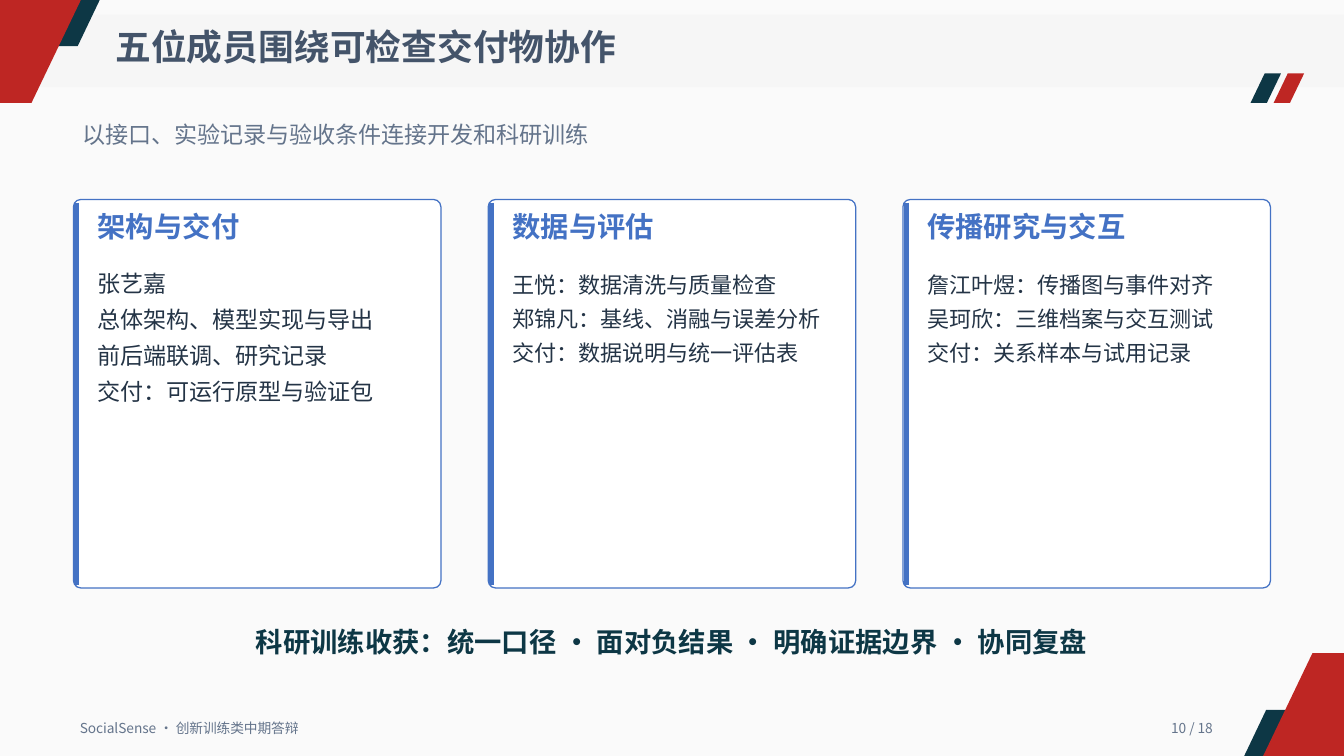
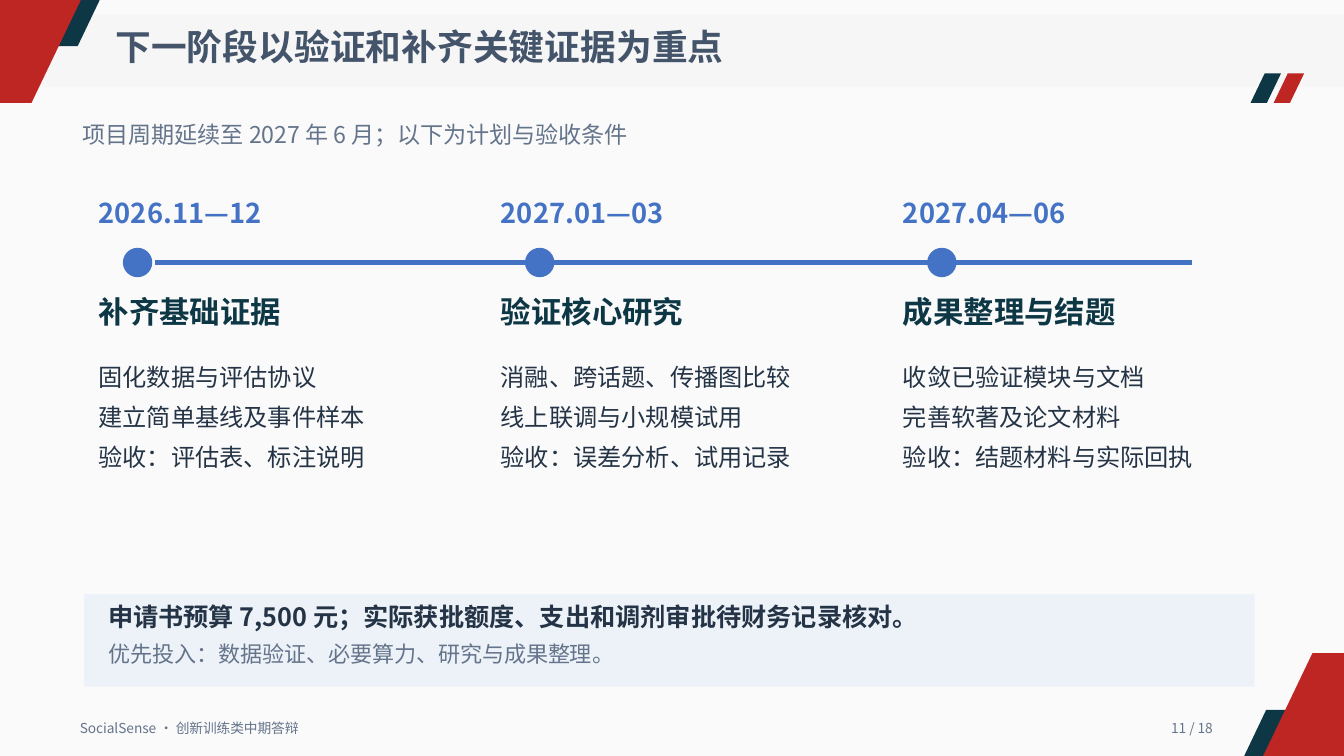
import dataclasses

import pptx
import pptx.dml.color
import pptx.enum.shapes
import pptx.enum.text
import pptx.oxml.ns
import pptx.util
from lxml import etree


@dataclasses.dataclass(frozen=True)
class Theme:
    font: str = "Noto Sans CJK SC"
    page: str = "FAFAFA"
    band: str = "F6F6F6"
    white: str = "FFFFFF"
    dark: str = "0D3745"
    red: str = "BE2623"
    blue: str = "4472C4"
    title: str = "44546A"
    muted: str = "64748B"
    ink: str = "243446"
    panel: str = "EDF2F8"
    title_size: float = 25.5
    subtitle_size: float = 16.5
    footer_size: float = 9.75
    card_size: float = 20.25
    date_size: float = 19.5
    stage_size: float = 21.75
    detail_size: float = 17.25
    budget_size: float = 18
    small_size: float = 15.75
    spacing: float = 0.85


T = Theme()
PX = 9525
W, H = 1280, 720
SHAPE = pptx.enum.shapes.MSO_SHAPE
ALIGN = pptx.enum.text.PP_ALIGN
rgb = pptx.dml.color.RGBColor.from_string
qn = pptx.oxml.ns.qn


def paint(sp, fill=None, line=None, weight=1):
    if fill:
        sp.shadow.inherit = False
        sp.fill.solid()
        sp.fill.fore_color.rgb = rgb(fill)
    if line:
        sp.line.color.rgb = rgb(line)
        sp.line.width = pptx.util.Pt(weight)
    else:
        sp.line.fill.background()
    if not fill:
        etree.SubElement(sp._element.spPr, qn("a:effectLst"))


def write(s, box, lines, size, color, bold=False, align=ALIGN.LEFT, leading=None):
    tf = s.shapes.add_textbox(*(v * PX for v in box)).text_frame
    tf.word_wrap = True
    tf.margin_left = tf.margin_right = tf.margin_top = tf.margin_bottom = 0
    tf.text = lines
    for p in tf.paragraphs:
        p.alignment = align
        p.line_spacing = pptx.util.Pt(leading) if leading else T.spacing
        p.font.size = pptx.util.Pt(size)
        p.font.bold = bold
        p.font.color.rgb = rgb(color)
        p.font.name = T.font
        etree.SubElement(p.font._element, qn("a:ea"), typeface=T.font)


prs = pptx.Presentation()
prs.slide_width, prs.slide_height = W * PX, H * PX

headers = [
    ("五位成员围绕可检查交付物协作", "以接口、实验记录与验收条件连接开发和科研训练"),
    ("下一阶段以验证和补齐关键证据为重点", "项目周期延续至 2027 年 6 月；以下为计划与验收条件"),
]
corners = [
    (T.dark, [(0, 0), (95, 0), (74, 44), (0, 44)]),
    (T.red, [(0, 0), (77, 0), (30, 98), (0, 98)]),
]

for number, (title, subtitle) in enumerate(headers, 10):
    s = prs.slides.add_slide(prs.slide_layouts[6])
    s.background.fill.solid()
    s.background.fill.fore_color.rgb = rgb(T.page)
    band = s.shapes.add_shape(SHAPE.RECTANGLE, 0, 14 * PX, W * PX, 69 * PX)
    paint(band, T.band)
    for x, color in ((1191, T.dark), (1213, T.red)):
        stripe = s.shapes.add_shape(SHAPE.PARALLELOGRAM, x * PX, 70 * PX, 29 * PX, 28 * PX)
        stripe.adjustments[0] = 0.48
        paint(stripe, color)
    for color, points in corners:
        for outline in (points, [(W - x, H - y) for x, y in points]):
            fb = s.shapes.build_freeform(*outline[0], scale=PX)
            fb.add_line_segments(outline[1:], close=True)
            paint(fb.convert_to_shape(), color)
    write(s, (110, 30, 1000, 53), title, T.title_size, T.title, True)
    write(s, (79, 119, 1000, 34), subtitle, T.subtitle_size, T.muted)
    write(s, (76, 688, 300, 20), "SocialSense · 创新训练类中期答辩", T.footer_size, T.muted)
    write(s, (1055, 688, 100, 20), f"{number} / 18", T.footer_size, T.muted, align=ALIGN.RIGHT)

team, plan = prs.slides

cards = [
    ("架构与交付", "张艺嘉\n总体架构、模型实现与导出\n前后端联调、研究记录\n交付：可运行原型与验证包", 249, T.subtitle_size, 25.6),
    ("数据与评估", "王悦：数据清洗与质量检查\n郑锦凡：基线、消融与误差分析\n交付：数据说明与统一评估表", 251, T.small_size, 24.4),
    ("传播研究与交互", "詹江叶煜：传播图与事件对齐\n吴珂欣：三维档案与交互测试\n交付：关系样本与试用记录", 251, T.small_size, 24.4),
]
for i, (heading, body, top, size, leading) in enumerate(cards):
    x = 70 + 395 * i
    card = team.shapes.add_shape(SHAPE.ROUNDED_RECTANGLE, x * PX, 190 * PX, 350 * PX, 370 * PX)
    card.adjustments[0] = 0.02
    paint(card, T.white, T.blue, 0.9)
    accent = team.shapes.add_connector(1, (x + 3) * PX, 193 * PX, (x + 3) * PX, 557 * PX)
    paint(accent, line=T.blue, weight=3.75)
    write(team, (x + 23, 204, 310, 41), heading, T.card_size, T.blue, True)
    write(team, (x + 23, top, 310, 136), body, size, T.ink, leading=leading)
write(team, (230, 600, 819, 40), "科研训练收获：统一口径 · 面对负结果 · 明确证据边界 · 协同复盘",
      T.date_size, T.dark, True, ALIGN.CENTER)

stages = [
    ("2026.11—12", "补齐基础证据", "固化数据与评估协议\n建立简单基线及事件样本\n验收：评估表、标注说明"),
    ("2027.01—03", "验证核心研究", "消融、跨话题、传播图比较\n线上联调与小规模试用\n验收：误差分析、试用记录"),
    ("2027.04—06", "成果整理与结题", "收敛已验证模块与文档\n完善软著及论文材料\n验收：结题材料与实际回执"),
]
axis = plan.shapes.add_connector(1, 148 * PX, 250 * PX, 1135 * PX, 250 * PX)
paint(axis, line=T.blue, weight=3)
for i, (date, stage, details) in enumerate(stages):
    x = 94 + 383 * i
    dot = plan.shapes.add_shape(SHAPE.OVAL, (x + 23) * PX, 236 * PX, 28 * PX, 28 * PX)
    paint(dot, T.blue)
    write(plan, (x, 192, 300, 40), date, T.date_size, T.blue, True)
    write(plan, (x, 284, 300, 45), stage, T.stage_size, T.dark, True)
    write(plan, (x, 335, 300, 111), details, T.detail_size, T.ink, leading=28.5)

panel = plan.shapes.add_shape(SHAPE.RECTANGLE, 80 * PX, 566 * PX, 1115 * PX, 88 * PX)
paint(panel, T.panel)
write(plan, (103, 577, 1060, 37), "申请书预算 7,500 元；实际获批额度、支出和调剂审批待财务记录核对。",
      T.budget_size, T.ink, True)
write(plan, (103, 614, 1060, 33), "优先投入：数据验证、必要算力、研究与成果整理。", T.small_size, T.muted)

prs.save("out.pptx")
